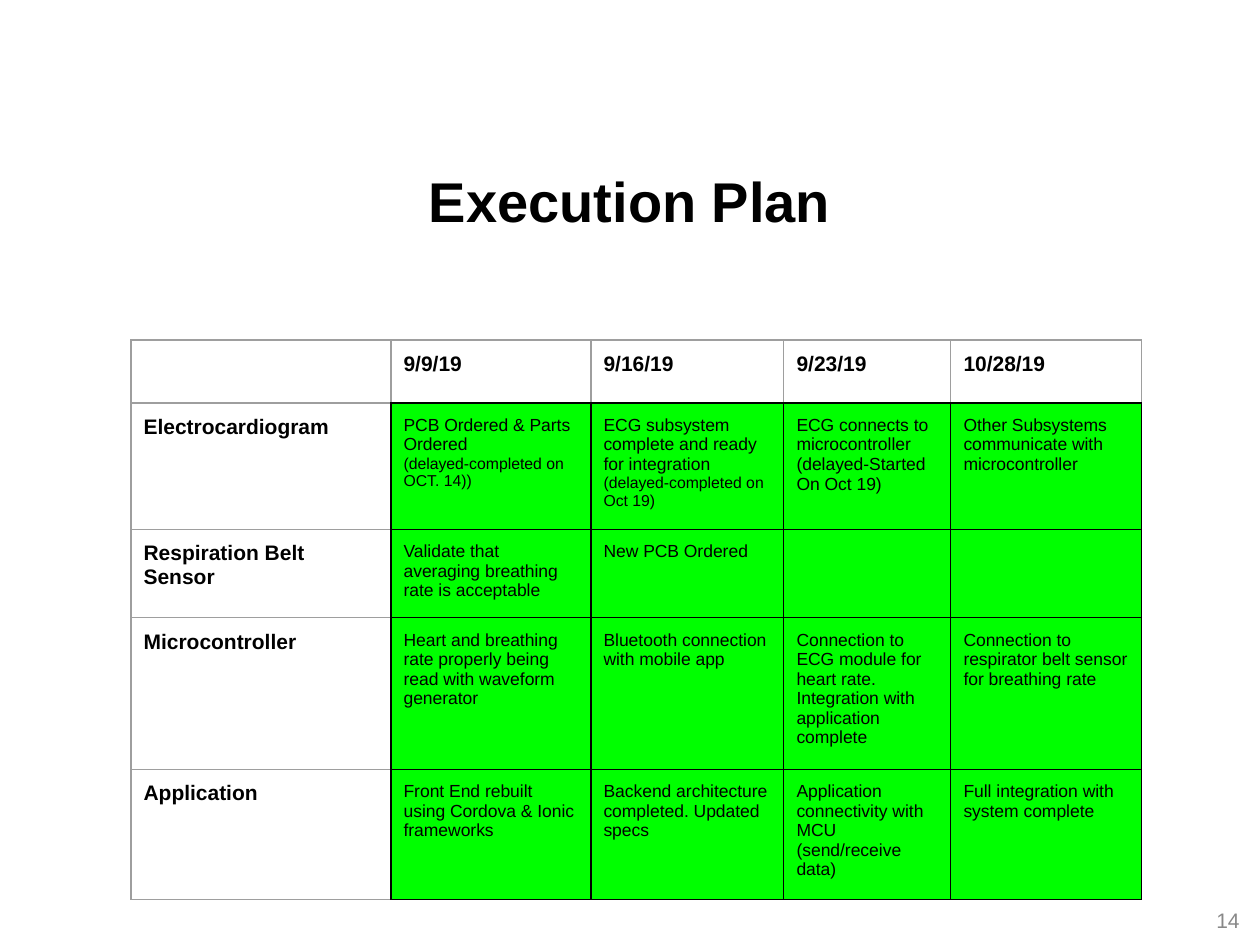
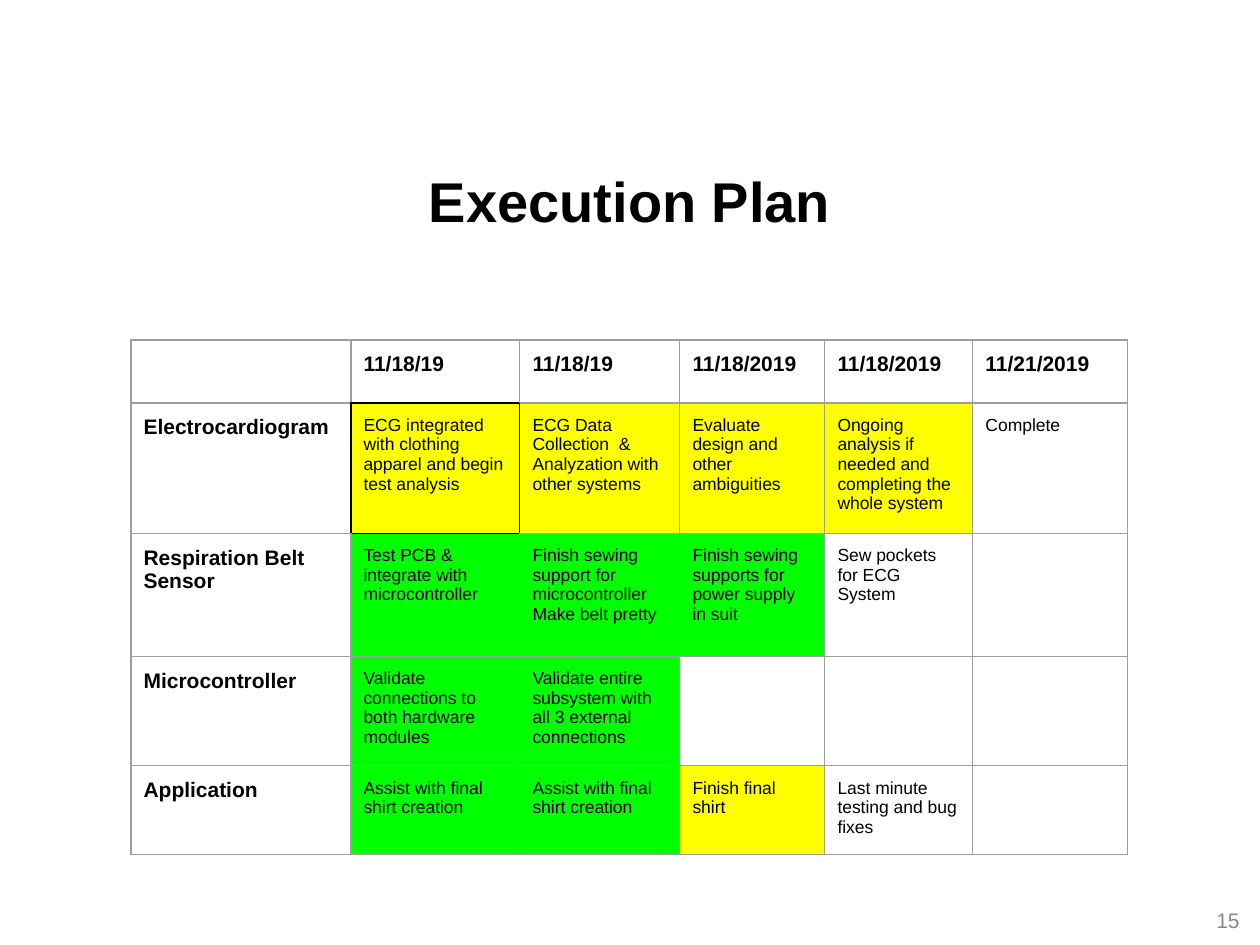
"""Build two execution plan slides with colour-coded status tables."""
from lxml import etree
from pptx import Presentation
from pptx import util as u
from pptx.dml.color import RGBColor
from pptx.enum import text
from pptx.oxml.ns import qn

PX = u.Inches(1) / 126
FONT = "Arial"
BLACK = RGBColor(0x00, 0x00, 0x00)
WHITE = RGBColor(0xFF, 0xFF, 0xFF)
GREEN = RGBColor(0x00, 0xFF, 0x00)
YELLOW = RGBColor(0xFF, 0xFF, 0x00)
BORDER_GREY = RGBColor(0x9E, 0x9E, 0x9E)
NUMBER_GREY = RGBColor(0x88, 0x88, 0x88)
STATUS_FILLS = {"G": GREEN, "Y": YELLOW, "W": WHITE}
EDGES = {"a:lnL": (0, -1), "a:lnR": (0, 1), "a:lnT": (-1, 0), "a:lnB": (1, 0)}
NOTE_START = "(delayed-completed"
SUBSYSTEMS = ["Electrocardiogram", "Respiration Belt Sensor", "Microcontroller", "Application"]

FALL_PLAN = {
    "number": "14",
    "columns": [260, 200, 193, 167, 191],
    "rows": [63, 120, 84, 143, 122],
    "dates": ["9/9/19", "9/16/19", "9/23/19", "10/28/19"],
    "statuses": ["GGGG", "GGGG", "GGGG", "GGGG"],
    "black_edged": {(row, column) for row in range(1, 5) for column in range(1, 5)},
    "tasks": [
        ["PCB Ordered & Parts Ordered\n(delayed-completed on OCT. 14))",
         "ECG subsystem complete and ready for integration\n(delayed-completed on Oct 19)",
         "ECG connects to microcontroller\n(delayed-Started On Oct 19)",
         "Other Subsystems communicate with microcontroller"],
        ["Validate that averaging breathing rate is acceptable", "New PCB Ordered", "", ""],
        ["Heart and breathing rate properly being read with waveform generator",
         "Bluetooth connection with mobile app",
         "Connection to ECG module for heart rate. Integration with application complete",
         "Connection to respirator belt sensor for breathing rate"],
        ["Front End rebuilt using Cordova & Ionic frameworks",
         "Backend architecture completed. Updated specs",
         "Application connectivity with MCU (send/receive data)",
         "Full integration with system complete"],
    ],
}

FINAL_PLAN = {
    "number": "15",
    "columns": [220, 169, 160, 145, 148, 155],
    "rows": [61, 122, 123, 104, 83],
    "dates": ["11/18/19", "11/18/19", "11/18/2019", "11/18/2019", "11/21/2019"],
    "statuses": ["YYYYW", "GGGWW", "GGWWW", "GGYWW"],
    "black_edged": {(1, 1)},
    "tasks": [
        ["ECG integrated with clothing apparel and begin test analysis",
         "ECG Data Collection  & Analyzation with other systems",
         "Evaluate design and other ambiguities",
         "Ongoing analysis if needed and completing the whole system",
         "Complete"],
        ["Test PCB & integrate with microcontroller",
         "Finish sewing support for\nmicrocontroller\nMake belt pretty",
         "Finish sewing supports for power supply in suit",
         "Sew pockets for ECG System", ""],
        ["Validate connections to both hardware modules",
         "Validate entire subsystem with all 3 external connections", "", "", ""],
        ["Assist with final shirt creation", "Assist with final shirt creation",
         "Finish final shirt", "Last minute testing and bug fixes", ""],
    ],
}


def px(length):
    """Turn a length in px into EMU."""
    return u.Emu(round(length * PX))


def format_paragraph(paragraph, size, color=BLACK, bold=False):
    """Format every run of a paragraph."""
    for run in paragraph.runs:
        run.font.name = FONT
        run.font.size = u.Pt(size)
        run.font.bold = bold
        run.font.color.rgb = color


def add_label(slide, box, words, size, align, color=BLACK, bold=False):
    """Add one line of vertically centred text."""
    shape = slide.shapes.add_textbox(*map(px, box))
    frame = shape.text_frame
    frame.word_wrap = True
    frame.vertical_anchor = text.MSO_ANCHOR.MIDDLE
    frame.text = words
    paragraph = frame.paragraphs[0]
    paragraph.alignment = align
    format_paragraph(paragraph, size, color, bold)


def set_borders(cell, row, column, black_edged):
    """Draw a cell's edges, black where they touch a black-edged cell."""
    properties = cell._tc.get_or_add_tcPr()
    for tag, (down, right) in EDGES.items():
        touching = {(row, column), (row + down, column + right)}
        color = BLACK if touching & black_edged else BORDER_GREY
        line = etree.SubElement(properties, qn(tag), w=str(u.Pt(0.75)))
        fill = etree.SubElement(line, qn("a:solidFill"))
        etree.SubElement(fill, qn("a:srgbClr"), val=str(color))


def fill_cell(cell, words, color, heading):
    """Set a cell's fill, margins and text."""
    cell.fill.solid()
    cell.fill.fore_color.rgb = color
    cell.margin_left = cell.margin_right = u.Inches(0.1)
    cell.margin_top = cell.margin_bottom = u.Inches(0.1)
    if not words:
        return
    cell.text_frame.text = words
    for paragraph in cell.text_frame.paragraphs:
        task_size = 9 if paragraph.text.startswith(NOTE_START) else 10
        format_paragraph(paragraph, 12 if heading else task_size, bold=heading)


def add_plan_table(slide, plan):
    """Add the table of dates, subsystems and tasks."""
    widths, heights = plan["columns"], plan["rows"]
    frame = slide.shapes.add_table(len(heights), len(widths), px(131), px(340),
                                   px(sum(widths)), px(sum(heights)))
    table = frame.table
    table.first_row = table.horz_banding = False
    for column, width in zip(table.columns, widths):
        column.width = px(width)
    for row, height in zip(table.rows, heights):
        row.height = px(height)
    lines = [["", *plan["dates"]]]
    lines += [[name, *tasks] for name, tasks in zip(SUBSYSTEMS, plan["tasks"])]
    statuses = ["W" * len(widths)] + ["W" + status for status in plan["statuses"]]
    for row, line in enumerate(lines):
        for column, words in enumerate(line):
            cell = table.cell(row, column)
            set_borders(cell, row, column, plan["black_edged"])
            fill_cell(cell, words, STATUS_FILLS[statuses[row][column]],
                      heading=row == 0 or column == 0)


def add_plan_slide(presentation, plan):
    """Add a slide with title, page number and plan table."""
    slide = presentation.slides.add_slide(presentation.slide_layouts[6])
    add_label(slide, (63, 145, 1134, 111), "Execution Plan", 32,
              text.PP_ALIGN.CENTER, bold=True)
    add_label(slide, (959, 895, 293, 50), plan["number"], 12,
              text.PP_ALIGN.RIGHT, NUMBER_GREY)
    add_plan_table(slide, plan)


def main():
    """Build and save the presentation."""
    presentation = Presentation()
    presentation.slide_width = px(1260)
    presentation.slide_height = px(945)
    for plan in (FALL_PLAN, FINAL_PLAN):
        add_plan_slide(presentation, plan)
    presentation.save("out.pptx")


if __name__ == "__main__":
    main()
